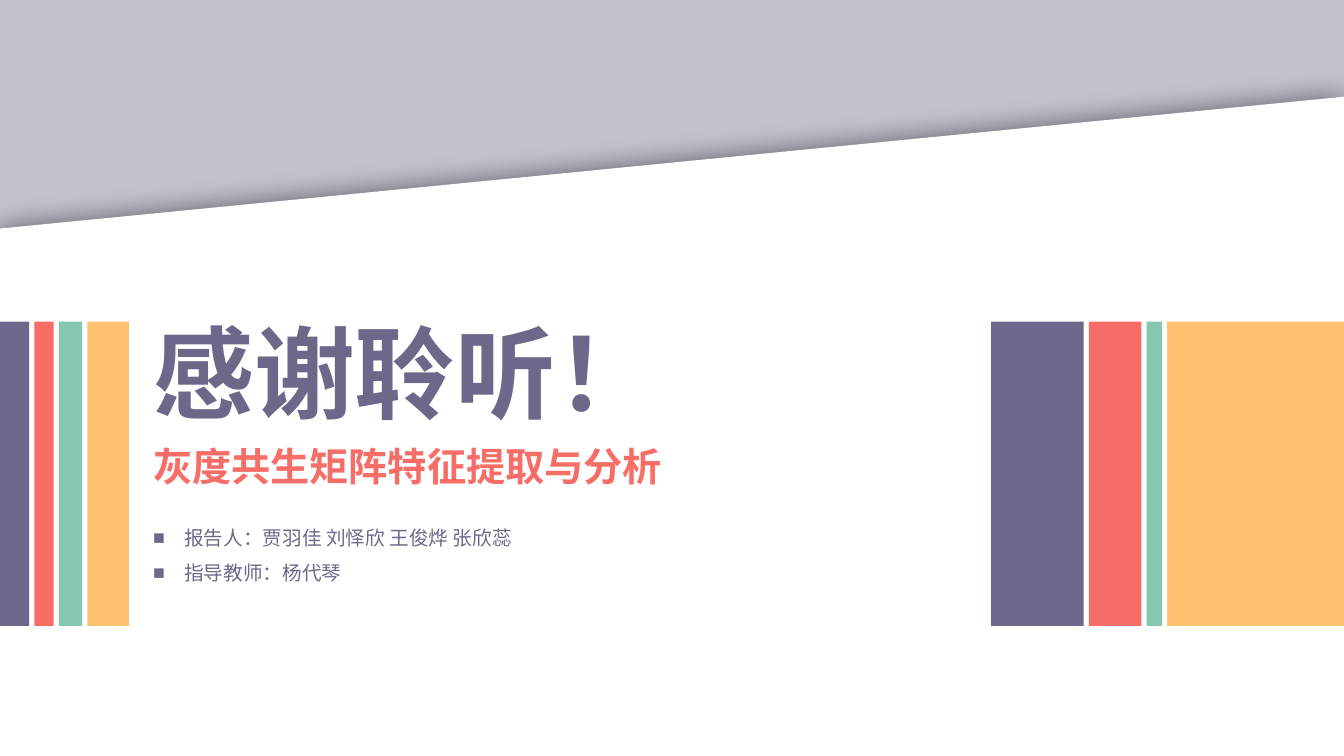
from dataclasses import dataclass

from pptx import Presentation
from pptx.dml.color import RGBColor
from pptx.enum.shapes import MSO_SHAPE
from pptx.enum.text import MSO_ANCHOR, MSO_AUTO_SIZE, PP_ALIGN
from pptx.oxml.ns import qn
from pptx.shapes.autoshape import Shape
from pptx.slide import Slide
from pptx.text.text import TextFrame
from pptx.util import Inches, Pt
from lxml.etree import SubElement

SLIDE_WIDTH = Inches(13.33)
SLIDE_HEIGHT = Inches(7.5)


@dataclass(frozen=True)
class Theme:
    purple: str = "6B6889"
    coral: str = "F76D68"
    green: str = "84C8AE"
    amber: str = "FDC170"
    white: str = "FFFFFF"
    font: str = "Noto Sans CJK SC"
    title_size: int = 72
    subtitle_size: int = 28
    body_size: int = 14


@dataclass(frozen=True)
class Area:
    """A rectangle in percent of the slide's width and height."""
    left: float
    top: float
    width: float
    height: float

    def lengths(self) -> tuple[int, int, int, int]:
        return (int(SLIDE_WIDTH * self.left / 100), int(SLIDE_HEIGHT * self.top / 100),
                int(SLIDE_WIDTH * self.width / 100), int(SLIDE_HEIGHT * self.height / 100))


@dataclass(frozen=True)
class StripeBand:
    left: float
    widths: tuple[float, ...]


THEME = Theme()
STRIPE_COLORS = (THEME.purple, THEME.coral, THEME.green, THEME.amber)
STRIPE_TOP, STRIPE_HEIGHT, STRIPE_GAP = 42.53, 40.27, 0.39
STRIPE_BANDS = (
    StripeBand(0, (2.18, 1.43, 1.73, 3.08)),
    StripeBand(73.74, (6.9, 3.9, 1.13, 13.17)),
)
TEXT_LEFT = 10.65


def add_block(page: Slide, area: Area, color: str,
              preset: MSO_SHAPE = MSO_SHAPE.RECTANGLE) -> Shape:
    block = page.shapes.add_shape(preset, *area.lengths())
    block.shadow.inherit = False
    block.fill.solid()
    block.fill.fore_color.rgb = RGBColor.from_string(color)
    block.line.fill.background()
    return block


def set_opacity(block: Shape, percent: int) -> None:
    color = block._element.spPr.find(qn("a:solidFill"))[0]
    SubElement(color, qn("a:alpha"), val=str(percent * 1000))


def add_glow_shadow(block: Shape, blur: float, percent: int) -> None:
    effects = block._element.spPr.find(qn("a:effectLst"))
    shadow = SubElement(effects, qn("a:outerShdw"), blurRad=str(Pt(blur)), dist="0",
                        dir="0", algn="ctr", rotWithShape="0")
    color = SubElement(shadow, qn("a:srgbClr"), val="000000")
    SubElement(color, qn("a:alpha"), val=str(percent * 1000))


def write_text(frame: TextFrame, lines: tuple[str, ...], *, size: int, color: str,
               bold: bool = False, wrap: bool = False, bullet: str = "",
               spacing: float = 1.0) -> None:
    frame.word_wrap = wrap
    frame.auto_size = MSO_AUTO_SIZE.SHAPE_TO_FIT_TEXT
    frame.vertical_anchor = MSO_ANCHOR.TOP
    for index, line in enumerate(lines):
        para = frame.add_paragraph() if index else frame.paragraphs[0]
        para.alignment = PP_ALIGN.LEFT
        para.line_spacing = spacing
        para.space_before = Pt(0)
        if bullet:
            properties = para._p.get_or_add_pPr()
            properties.set("marL", str(Inches(0.31)))
            properties.set("indent", str(-Inches(0.31)))
            SubElement(properties, qn("a:buFont"), typeface="Arial")
            SubElement(properties, qn("a:buChar"), char=bullet)
        span = para.add_run()
        span.text = line
        span.font.size = Pt(size)
        span.font.bold = bold
        span.font.color.rgb = RGBColor.from_string(color)
        span.font.name = THEME.font
        SubElement(span._r.get_or_add_rPr(), qn("a:ea"), typeface=THEME.font)


def add_stripes(page: Slide, band: StripeBand) -> None:
    left = band.left
    for width, color in zip(band.widths, STRIPE_COLORS):
        add_block(page, Area(left, STRIPE_TOP, width, STRIPE_HEIGHT), color)
        left += width + STRIPE_GAP


def add_text_box(page: Slide, area: Area) -> TextFrame:
    return page.shapes.add_textbox(*area.lengths()).text_frame


def main() -> None:
    deck = Presentation()
    deck.slide_width, deck.slide_height = SLIDE_WIDTH, SLIDE_HEIGHT
    page = deck.slides.add_slide(deck.slide_layouts[5])

    # Tinted backdrop with a slanted white sheet
    backdrop = add_block(page, Area(0, 0, 100, 100), THEME.purple)
    set_opacity(backdrop, 40)
    sheet = add_block(page, Area(0, 12.8, 100, 87.2), THEME.white,
                      MSO_SHAPE.FLOWCHART_MANUAL_INPUT)
    add_glow_shadow(sheet, blur=20, percent=50)

    # Title, raised above the backdrop
    title = page.shapes.title
    title.left, title.top, title.width, title.height = Area(
        TEXT_LEFT, 40.4, 39.4, 17.47).lengths()
    write_text(title.text_frame, ("感谢聆听！",), size=THEME.title_size,
               color=THEME.purple, bold=True)
    page.shapes._spTree.append(title._element)

    # Colour stripes at both edges
    for band in STRIPE_BANDS:
        add_stripes(page, band)

    # Subtitle and people
    write_text(add_text_box(page, Area(TEXT_LEFT, 57.87, 39.8, 7.6)),
               ("灰度共生矩阵特征提取与分析",), size=THEME.subtitle_size,
               color=THEME.coral, bold=True)
    write_text(add_text_box(page, Area(TEXT_LEFT, 67.33, 60.2, 10.27)),
               ("报告人：贾羽佳 刘怿欣 王俊烨 张欣蕊", "指导教师：杨代琴"),
               size=THEME.body_size, color=THEME.purple, wrap=True,
               bullet="■", spacing=1.5)

    deck.save("out.pptx")


if __name__ == "__main__":
    main()
